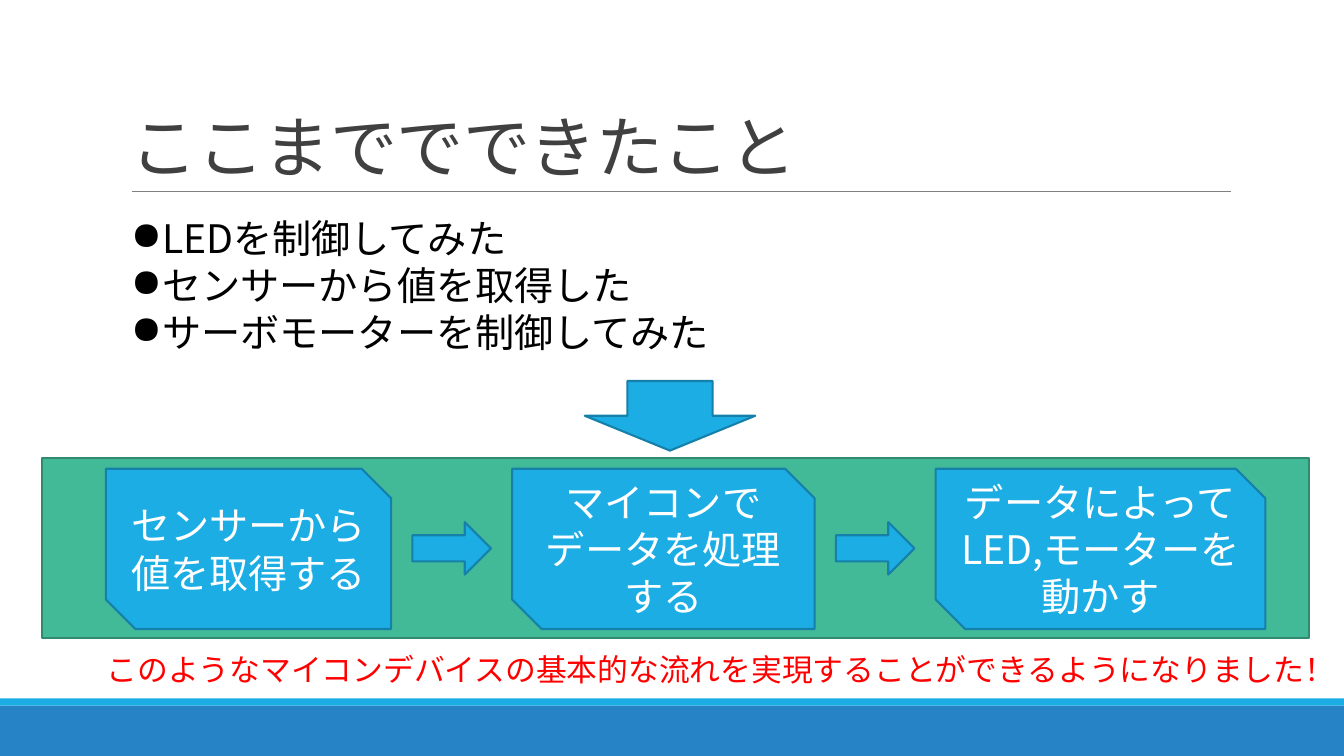
from lxml.etree import SubElement
from pptx import Presentation
from pptx.dml.color import RGBColor
from pptx.enum.shapes import MSO_CONNECTOR, MSO_SHAPE
from pptx.enum.text import MSO_ANCHOR, MSO_AUTO_SIZE, PP_ALIGN
from pptx.oxml.ns import qn
from pptx.util import Pt

SCALE = 9144  # EMU per px, 100 px to the inch
BLUE, BLUE_EDGE = "1CADE4", "1580A9"


def color(value):
    return RGBColor.from_string(value)


class SlideBuilder:
    """Holds the text style and the current page; lengths are in px."""

    font = "Noto Sans CJK JP"

    def __init__(self, deck):
        self.page = deck.slides.add_slide(deck.slide_layouts[6])

    def fill_frame(self, frame, lines, size, ink, align=PP_ALIGN.LEFT, spacing=None,
                   tracking=None, bullet=None):
        frame.word_wrap = True
        for index, line in enumerate(lines):
            para = frame.paragraphs[0] if index == 0 else frame.add_paragraph()
            para.alignment = align
            if spacing:
                para.line_spacing = spacing
            if bullet:
                properties = para._p.get_or_add_pPr()
                properties.set("marL", str(31 * SCALE))
                properties.set("indent", str(-31 * SCALE))
                SubElement(properties, qn("a:buChar")).set("char", bullet)
            span = para.add_run()
            span.text = line
            span.font.name = self.font
            span.font.size = Pt(size)
            span.font.color.rgb = color(ink)
            run_properties = span._r.get_or_add_rPr()
            SubElement(run_properties, qn("a:ea")).set("typeface", self.font)
            if tracking:
                run_properties.set("spc", str(tracking))

    def text(self, area, lines, size, ink, anchor=MSO_ANCHOR.TOP, grow=True, **style):
        box = self.page.shapes.add_textbox(*(length * SCALE for length in area))
        frame = box.text_frame
        self.fill_frame(frame, lines, size, ink, **style)
        frame.vertical_anchor = anchor
        frame.auto_size = MSO_AUTO_SIZE.SHAPE_TO_FIT_TEXT if grow else MSO_AUTO_SIZE.NONE

    def shape(self, kind, area, fill=BLUE, edge=BLUE_EDGE):
        shape = self.page.shapes.add_shape(kind, *(length * SCALE for length in area))
        shape.shadow.inherit = False
        shape.fill.solid()
        shape.fill.fore_color.rgb = color(fill)
        if edge:
            shape.line.color.rgb = color(edge)
            shape.line.width = Pt(1.5)
        else:
            shape.line.fill.background()
        return shape

    def step(self, area, lines):
        card = self.shape(MSO_SHAPE.SNIP_2_DIAG_RECTANGLE, area)
        card.adjustments[0] = 0
        card.adjustments[1] = 0.184
        card.text_frame.vertical_anchor = MSO_ANCHOR.MIDDLE
        self.fill_frame(card.text_frame, lines, 28, "FFFFFF", PP_ALIGN.CENTER)

    def rule(self, left, right, y):
        line = self.page.shapes.add_connector(
            MSO_CONNECTOR.STRAIGHT, left * SCALE, y * SCALE, right * SCALE, y * SCALE)
        line.line.color.rgb = color("808080")
        line.line.width = Pt(0.5)
        SubElement(line._element.spPr, qn("a:effectLst"))


def main():
    deck = Presentation()
    deck.slide_width, deck.slide_height = 1333 * SCALE, 750 * SCALE
    slide = SlideBuilder(deck)

    slide.shape(MSO_SHAPE.RECTANGLE, (0, 700, 1333, 50), "2683C6", None)
    slide.shape(MSO_SHAPE.RECTANGLE, (0, 693, 1333, 7), BLUE, None)
    slide.rule(131, 1221, 190)
    slide.text((120, 31, 1100, 159), ["ここまででできたこと"], 48, "404040",
               MSO_ANCHOR.BOTTOM, grow=False, spacing=0.85, tracking=-50)
    slide.text((120, 208, 1090, 151),
               ["LEDを制御してみた", "センサーから値を取得した", "サーボモーターを制御してみた"],
               28, "000000", bullet="●")

    slide.shape(MSO_SHAPE.RECTANGLE, (42, 454, 1256, 179), "42BA97", "318A70")
    slide.shape(MSO_SHAPE.DOWN_ARROW, (580, 378, 169, 69))
    steps = [
        (105, 283, ["センサーから", "値を取得する"]),
        (508, 300, ["マイコンで", "データを処理する"]),
        (928, 327, ["データによってLED,モーターを動かす"]),
    ]
    for left, width, lines in steps:
        slide.step((left, 465, width, 159), lines)
    for left, width, _ in steps[:-1]:
        slide.shape(MSO_SHAPE.RIGHT_ARROW, (left + width + 21, 518, 78, 52))

    slide.text((91, 641, 1243, 47),
               ["このようなマイコンデバイスの基本的な流れを実現することができるようになりました！"],
               22, "FF0000", align=PP_ALIGN.RIGHT)
    deck.save("out.pptx")


if __name__ == "__main__":
    main()
